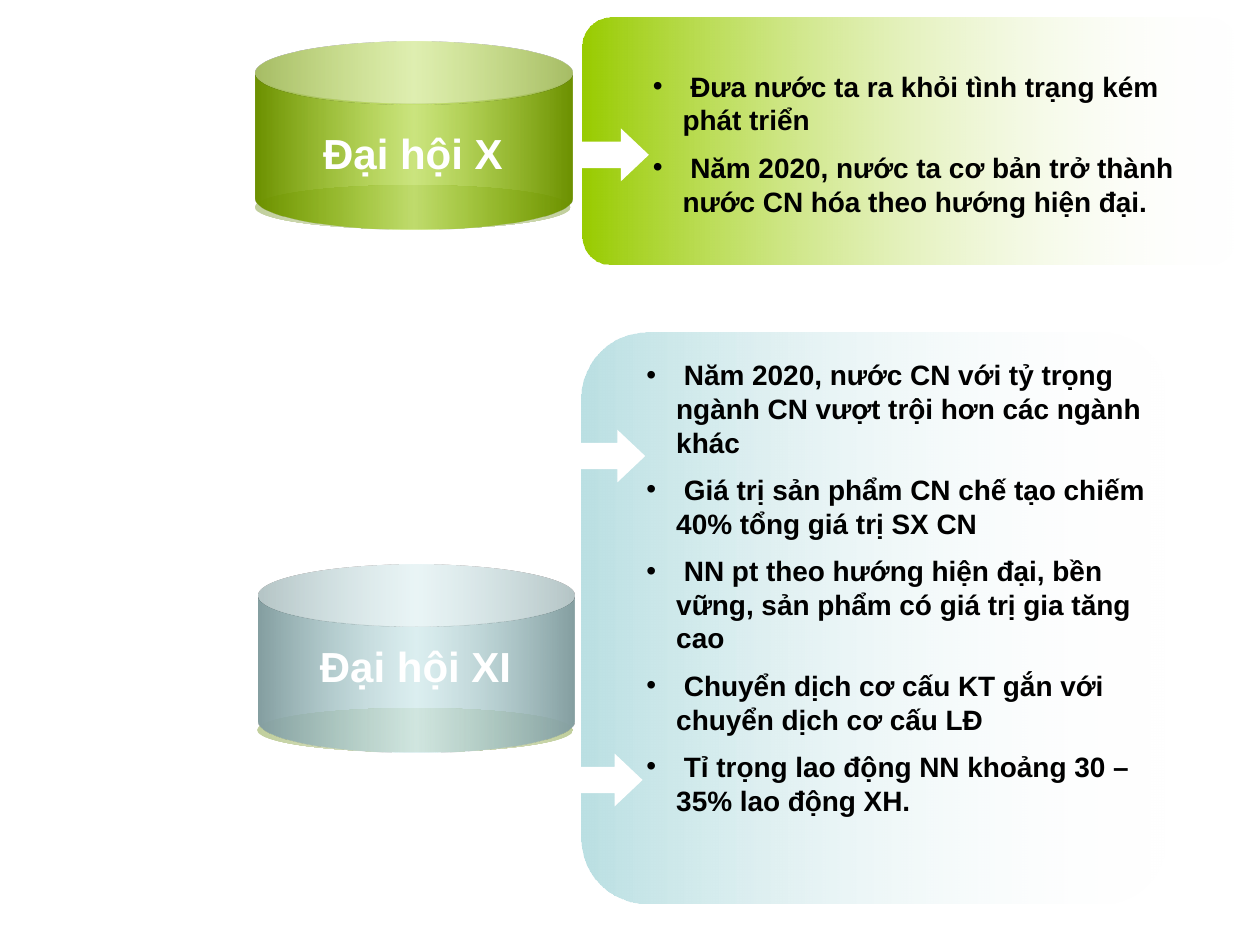
from lxml import etree
from pptx import Presentation
from pptx import util as u
from pptx.dml.color import RGBColor
from pptx.enum import shapes, text
from pptx.oxml.ns import qn

GREEN = RGBColor(0x99, 0xCC, 0x00)
BLUE = RGBColor(0xBB, 0xE0, 0xE3)
RIM = RGBColor(0xC1, 0xCF, 0x9D)
RIM_LIGHT = RGBColor(0xE7, 0xEC, 0xDC)
WHITE = RGBColor(0xFF, 0xFF, 0xFF)
BLACK = RGBColor(0, 0, 0)
FONT = "Arial"
SHAPE = shapes.MSO_SHAPE

TENTH_GOALS = [
    " Đưa nước ta ra khỏi tình trạng kém phát triển",
    " Năm 2020, nước ta cơ bản trở thành nước CN hóa theo hướng hiện đại.",
]
ELEVENTH_GOALS = [
    " Năm 2020, nước CN với tỷ trọng ngành CN vượt trội hơn các ngành khác",
    " Giá trị sản phẩm CN chế tạo chiếm 40% tổng giá trị SX CN",
    " NN pt theo hướng hiện đại, bền vững, sản phẩm có giá trị gia tăng cao",
    " Chuyển dịch cơ cấu KT gắn với chuyển dịch cơ cấu LĐ",
    " Tỉ trọng lao động NN khoảng 30 – 35% lao động XH.",
]


def points(*values):
    return [u.Pt(value) for value in values]


def add_plain_shape(container, kind, box):
    shape = container.add_shape(kind, *points(*box))
    shape.shadow.inherit = False
    shape.line.fill.background()
    return shape


def fill_gradient(shape, stops):
    """Fill from left to right; a stop is (position, colour, colour changes)."""
    shape.fill.gradient()
    shape.fill.gradient_angle = 0
    stop_list = shape._element.spPr.find(qn("a:gradFill")).find(qn("a:gsLst"))
    for old_stop in list(stop_list):
        stop_list.remove(old_stop)
    for position, colour, changes in stops:
        stop = etree.SubElement(stop_list, qn("a:gs"), pos=str(position * 1000))
        colour_node = etree.SubElement(stop, qn("a:srgbClr"), val=str(colour))
        for name, percent in changes.items():
            etree.SubElement(colour_node, qn("a:" + name), val=str(percent * 1000))


def add_panel(slide, box, colour):
    panel = add_plain_shape(slide.shapes, SHAPE.ROUNDED_RECTANGLE, box)
    panel.adjustments[0] = 0.115
    fill_gradient(panel, [(0, colour, {}), (100, WHITE, {"alpha": 0})])


def add_run(paragraph, words, size, colour):
    run = paragraph.add_run()
    run.text = words
    font = run.font
    font.name, font.size, font.bold = FONT, u.Pt(size), True
    font.color.rgb = colour
    return run


def space_half_line(paragraph):
    properties = paragraph._p.get_or_add_pPr()
    space = etree.Element(qn("a:spcBef"))
    etree.SubElement(space, qn("a:spcPct"), val="50000")
    properties.insert(0, space)
    return properties


def fill_list(slide, placeholder, box, items):
    slide.shapes._spTree.append(placeholder._element)  # in front of the panels
    placeholder.left, placeholder.top, placeholder.width, placeholder.height = points(*box)
    frame = placeholder.text_frame
    frame.word_wrap = True
    frame.auto_size = text.MSO_AUTO_SIZE.SHAPE_TO_FIT_TEXT
    for index, item in enumerate(items):
        paragraph = frame.add_paragraph() if index else frame.paragraphs[0]
        properties = space_half_line(paragraph)
        properties.set("marL", str(u.Pt(17)))
        properties.set("indent", str(u.Pt(-17)))
        add_run(paragraph, item, 16, BLACK)


def add_drum(slide, left, top, colour):
    group = slide.shapes.add_group_shape()
    rim = add_plain_shape(group.shapes, SHAPE.OVAL, (left - 0.7, top + 82, 180.7, 25.2))
    fill_gradient(rim, [(0, RIM, {}), (50, RIM_LIGHT, {}), (100, RIM, {})])
    can = add_plain_shape(group.shapes, SHAPE.CAN, (left, top, 180.7, 107.3))
    can.adjustments[0] = 0.332
    dark = {"shade": 46}
    fill_gradient(can, [(0, colour, dark), (50, colour, {"alpha": 50}), (100, colour, dark)])


def add_label(slide, left, top, words):
    label = slide.shapes.add_textbox(*points(left, top, 167.8, 36))
    frame = label.text_frame
    frame.word_wrap = True
    frame.auto_size = text.MSO_AUTO_SIZE.SHAPE_TO_FIT_TEXT
    frame.margin_left = u.Pt(20.5)
    paragraph = frame.paragraphs[0]
    paragraph.alignment = text.PP_ALIGN.CENTER
    space_half_line(paragraph)
    run = add_run(paragraph, words, 24, WHITE)
    # Text shadow, placed right after the text colour
    effects = etree.Element(qn("a:effectLst"))
    shadow = etree.SubElement(effects, qn("a:outerShdw"), dist="35921", dir="2700000")
    etree.SubElement(shadow, qn("a:srgbClr"), val=str(BLACK))
    run._r.rPr.find(qn("a:solidFill")).addnext(effects)


def add_arrow(slide, left, top):
    arrow = add_plain_shape(slide.shapes, SHAPE.RIGHT_ARROW, (left, top, 38.2, 30.2))
    arrow.adjustments[1] = 0.528
    arrow.fill.solid()
    arrow.fill.fore_color.rgb = WHITE


def main():
    presentation = Presentation()
    presentation.slide_width, presentation.slide_height = points(720, 540)
    slide = presentation.slides.add_slide(presentation.slide_layouts[3])
    title, tenth_list, eleventh_list = list(slide.placeholders)[:3]
    title._element.getparent().remove(title._element)

    # Panels and their lists
    add_panel(slide, (332.6, 10.1, 373.7, 141.1), GREEN)
    add_panel(slide, (332.6, 190.1, 334.1, 326.2), BLUE)
    fill_list(slide, tenth_list, (365.8, 36, 319, 94.3), TENTH_GOALS)
    fill_list(slide, eleventh_list, (362.2, 200.9, 316.8, 259.2), ELEVENTH_GOALS)

    # Drums with the congress names
    add_drum(slide, 147.6, 322.6, BLUE)
    add_drum(slide, 146.2, 23.8, GREEN)
    add_label(slide, 145.4, 69.1, "Đại hội X")
    add_label(slide, 146.9, 362.2, "Đại hội XI")

    # Arrows into the panels
    for left, top in [(329, 430.6), (330.5, 245.5), (332.6, 73.4)]:
        add_arrow(slide, left, top)

    presentation.save("out.pptx")


if __name__ == "__main__":
    main()
